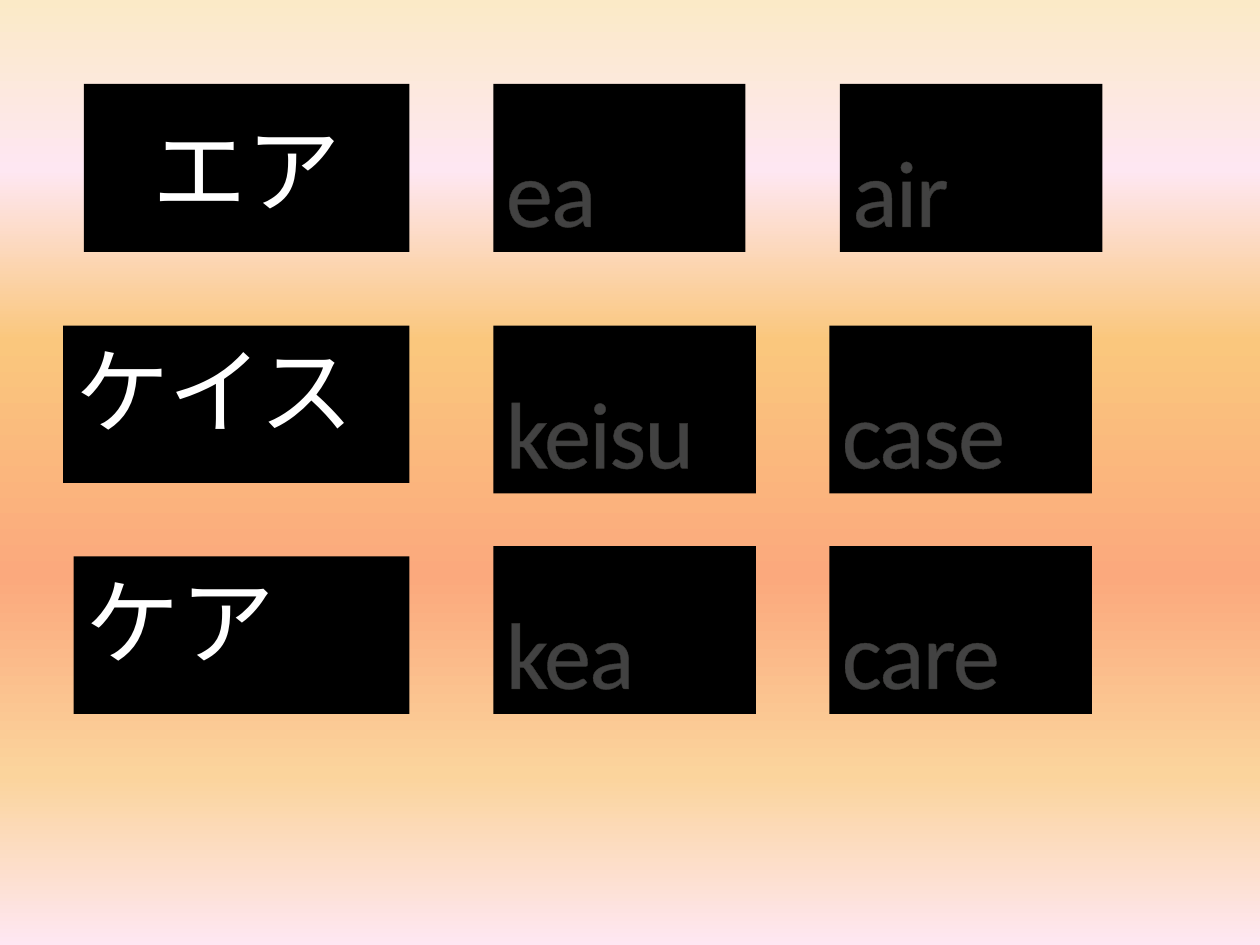
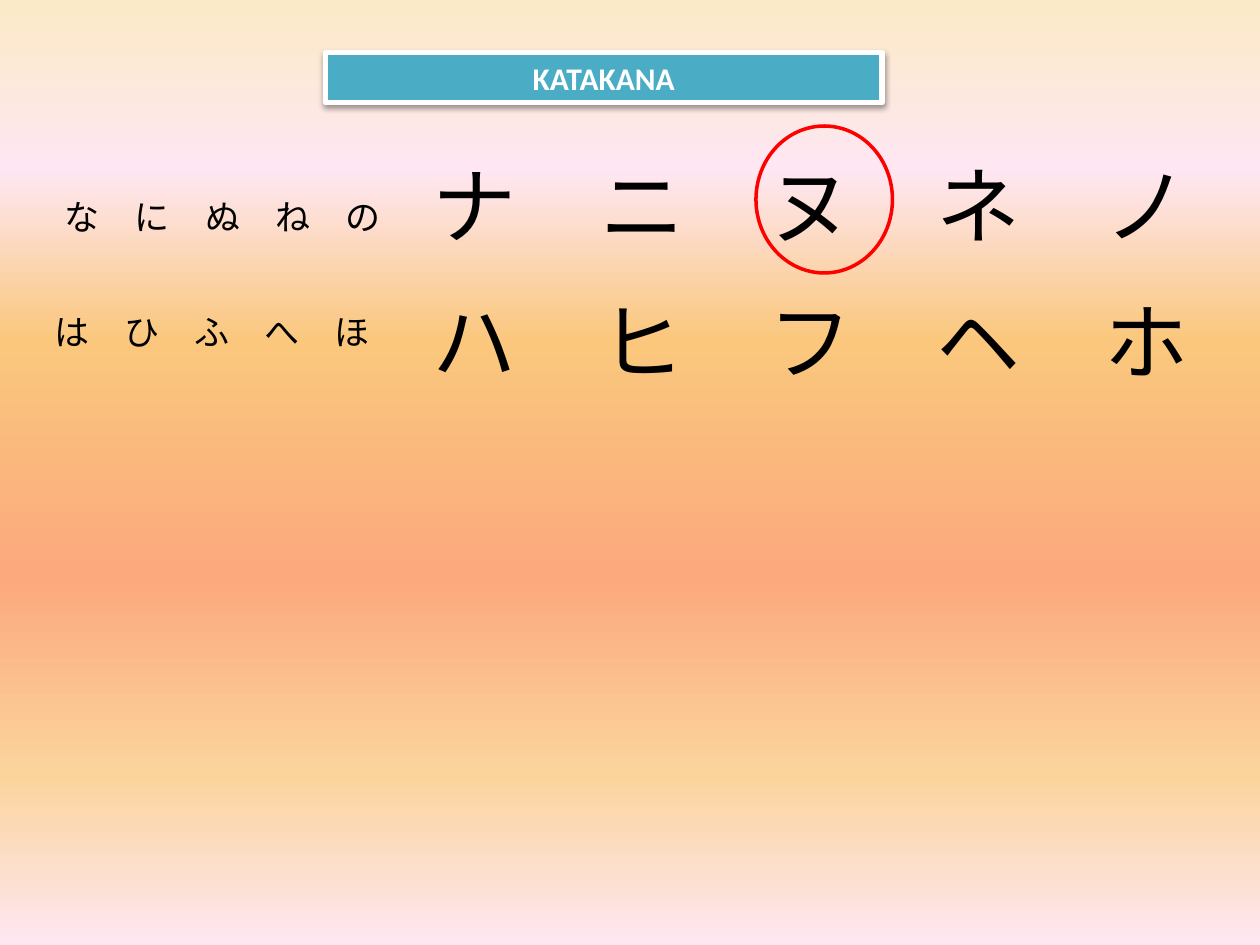
from dataclasses import dataclass

from lxml import etree
from pptx import Presentation
from pptx.dml.color import RGBColor
from pptx.enum.shapes import MSO_SHAPE
from pptx.enum.text import MSO_ANCHOR, PP_ALIGN
from pptx.oxml import parse_xml
from pptx.oxml.ns import qn
from pptx.util import Inches, Pt

RECTANGLE, OVAL = MSO_SHAPE.RECTANGLE, MSO_SHAPE.OVAL
TOP, MIDDLE, BOTTOM = MSO_ANCHOR.TOP, MSO_ANCHOR.MIDDLE, MSO_ANCHOR.BOTTOM
LEFT, CENTER = PP_ALIGN.LEFT, PP_ALIGN.CENTER
NAMESPACE = 'xmlns:a="http://schemas.openxmlformats.org/drawingml/2006/main"'


@dataclass(frozen=True)
class Theme:
    latin_font: str = "Calibri"
    kana_font: str = "Noto Sans CJK JP"
    black: str = "000000"
    white: str = "FFFFFF"
    banner: str = "4BACC6"
    ring: str = "FF0000"
    outline: str = "D2D0C7"
    card_size: int = 54
    kana_size: int = 48
    banner_size: int = 18
    hiragana_size: int = 20
    sky: tuple = ((0, "FBEAC7"), (18, "FEE7F2"), (36, "FAC77D"),
                  (61, "FBA97D"), (82, "FBD49C"), (100, "FEE7F2"))


class Deck:
    """Draws on the current slide, on a grid of 120 columns by 90 rows."""

    COLUMNS, ROWS = 120, 90

    def __init__(self, theme):
        self.theme = theme
        self.presentation = Presentation()
        self.presentation.slide_width = Inches(10)
        self.presentation.slide_height = Inches(7.5)
        self.slide = None
        self.paint_master()

    def paint_master(self):
        """Give every slide the vertical sunset gradient."""
        master = self.presentation.slide_master
        master.background.fill.solid()
        plain = master.element.find(".//" + qn("p:bgPr")).find(qn("a:solidFill"))
        stops = "".join(
            f'<a:gs pos="{share * 1000}"><a:srgbClr val="{color}"/></a:gs>'
            for share, color in self.theme.sky)
        plain.getparent().replace(plain, parse_xml(
            f'<a:gradFill {NAMESPACE} rotWithShape="1"><a:gsLst>{stops}</a:gsLst>'
            '<a:lin ang="5400000" scaled="0"/></a:gradFill>'))

    def new_slide(self):
        self.slide = self.presentation.slides.add_slide(
            self.presentation.slide_layouts[6])

    def box(self, column, row, width, height):
        column_width = self.presentation.slide_width / self.COLUMNS
        row_height = self.presentation.slide_height / self.ROWS
        return (round(column * column_width), round(row * row_height),
                round(width * column_width), round(height * row_height))

    def set_text(self, shape, text, size, color, font_name,
                 anchor=TOP, align=LEFT, bold=False):
        frame = shape.text_frame
        frame.word_wrap = True
        frame.vertical_anchor = anchor
        paragraph = frame.paragraphs[0]
        paragraph.text = text
        paragraph.alignment = align
        font = paragraph.font
        font.name, font.size, font.bold = font_name, Pt(size), bold
        font.color.rgb = RGBColor.from_string(color)
        return paragraph

    def shape(self, kind, box, fill=None, line=None, line_width=0):
        shape = self.slide.shapes.add_shape(kind, *self.box(*box))
        shape.shadow.inherit = False
        if fill:
            shape.fill.solid()
            shape.fill.fore_color.rgb = RGBColor.from_string(fill)
        else:
            shape.fill.background()
        if line:
            shape.line.color.rgb = RGBColor.from_string(line)
            shape.line.width = Pt(line_width)
        else:
            shape.line.fill.background()
        return shape

    def card(self, text, box, anchor=TOP, align=LEFT):
        theme = self.theme
        card = self.shape(RECTANGLE, box, theme.black)
        return self.set_text(card, text, theme.card_size, theme.white,
                             theme.latin_font, anchor, align)

    def outlined_card(self, text, box):
        """A card whose letters are tightened and faintly outlined."""
        run = self.card(text, box, BOTTOM).runs[0]
        properties = run._r.get_or_add_rPr()
        properties.set("spc", "-100")
        properties.insert(0, parse_xml(
            f'<a:ln {NAMESPACE} w="3175"><a:solidFill>'
            f'<a:srgbClr val="{self.theme.outline}"><a:alpha val="25000"/></a:srgbClr>'
            '</a:solidFill><a:prstDash val="solid"/></a:ln>'))

    def banner(self, text, box):
        theme = self.theme
        banner = self.shape(RECTANGLE, box, theme.banner, theme.white, 3)
        effects = banner.element.spPr.find(qn("a:effectLst"))
        shadow = etree.SubElement(effects, qn("a:outerShdw"), blurRad="40000",
                                  dist="20000", dir="5400000", rotWithShape="0")
        color = etree.SubElement(shadow, qn("a:srgbClr"), val=theme.black)
        etree.SubElement(color, qn("a:alpha"), val="38000")
        self.set_text(banner, text, theme.banner_size, theme.white,
                      theme.latin_font, align=CENTER, bold=True)

    def kana(self, letters, box, size):
        """Letters set apart by full-width spaces."""
        label = self.slide.shapes.add_textbox(*self.box(*box))
        self.set_text(label, "　".join(letters), size, self.theme.black,
                      self.theme.kana_font)

    def ring(self, box):
        self.shape(OVAL, box, line=self.theme.ring, line_width=2)


def reading_slide(deck):
    deck.new_slide()
    deck.card("エア", (8, 8, 31, 16), MIDDLE, CENTER)
    deck.card("ケイス", (6, 31, 33, 15))
    deck.card("ケア", (7, 53, 32, 15))
    words = (("ea", 24, "air", 80, 8), ("keisu", 25, "case", 79, 31),
             ("kea", 25, "care", 79, 52))
    for reading, reading_width, english, english_column, row in words:
        deck.outlined_card(reading, (47, row, reading_width, 16))
        deck.outlined_card(english, (english_column, row, 25, 16))


def katakana_slide(deck):
    deck.new_slide()
    theme = deck.theme
    deck.banner("KATAKANA", (31, 5, 53, 4.8))
    rows = (("なにぬねの", 5, 18, "ナニヌネノ", 14),
            ("はひふへほ", 4, 29, "ハヒフヘホ", 27))
    for hiragana, column, hiragana_row, katakana, katakana_row in rows:
        deck.kana(hiragana, (column, hiragana_row, 37, 5.25), theme.hiragana_size)
        deck.kana(katakana, (40, katakana_row, 75, 10.9), theme.kana_size)
    deck.ring((72, 12, 13, 14))


def main():
    deck = Deck(Theme())
    reading_slide(deck)
    katakana_slide(deck)
    deck.presentation.save("out.pptx")


if __name__ == "__main__":
    main()
